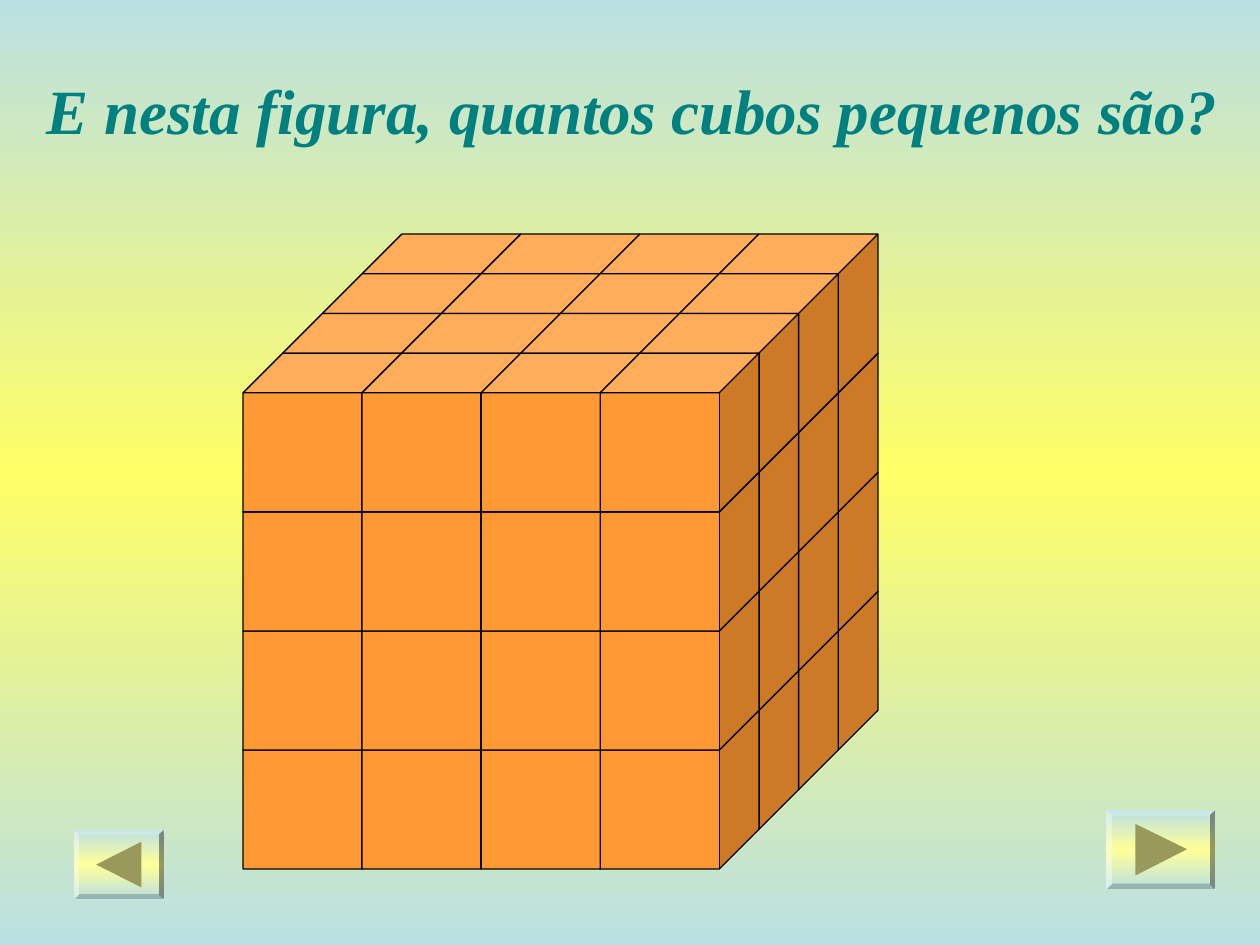
import copy
import pptx
import pptx.dml.color
import pptx.enum.shapes
import pptx.enum.text
import pptx.util

Cm = pptx.util.Cm
Pt = pptx.util.Pt
Kind = pptx.enum.shapes.MSO_SHAPE

TITLE = "E nesta figura, quantos cubos pequenos são?"
SIZE, STEP, DEPTH, COUNT = 3.2, 2.4, 0.8, 4
LEFT, TOP = 7.3, 4.72
BUTTONS = [
    {"box": (22.3, 16.33, 2.2, 1.6), "tip": [(22.89, 16.61), (23.93, 17.12), (22.89, 17.65)]},
    {"box": (1.5, 16.73, 1.8, 1.4), "tip": [(2.85, 16.97), (1.94, 17.43), (2.85, 17.89)]},
]


def hue(code):
    return pptx.dml.color.RGBColor.from_string(code)


def blend(node, fill, mid):
    fill.gradient()
    fill.gradient_angle = 90
    stops = node.xpath(".//a:gsLst")[0]
    stops.insert(1, copy.deepcopy(stops[0]))
    for stop, place, code in zip(fill.gradient_stops, (0, 0.5, 1), ("BBE0E3", mid, "BBE0E3")):
        stop.position = place
        stop.color.rgb = hue(code)


def paint(shape, code, edge=None):
    shape.shadow.inherit = False
    shape.fill.solid()
    shape.fill.fore_color.rgb = hue(code)
    if edge:
        shape.line.color.rgb = hue(edge)
        shape.line.width = Pt(0.75)
    else:
        shape.line.fill.background()


def stack(slide):
    group = slide.shapes.add_group_shape()
    last = COUNT - 1
    for level in reversed(range(COUNT)):
        for row in range(COUNT):
            for col in range(COUNT):
                if level > 0 and row < last and col < last:
                    continue
                x = LEFT + STEP * col - DEPTH * row
                y = TOP + STEP * level + DEPTH * row
                cube = group.shapes.add_shape(Kind.CUBE, Cm(x), Cm(y), Cm(SIZE), Cm(SIZE))
                cube.adjustments[0] = 0.25
                paint(cube, "FF9933", "000000")


def head(slide):
    title = slide.shapes.title
    title.left, title.top, title.width, title.height = map(Cm, (0.69, 1.32, 24.71, 1.78))
    frame = title.text_frame
    frame.word_wrap = True
    frame.auto_size = pptx.enum.text.MSO_AUTO_SIZE.NONE
    frame.vertical_anchor = pptx.enum.text.MSO_ANCHOR.BOTTOM
    para = frame.paragraphs[0]
    para.alignment = pptx.enum.text.PP_ALIGN.LEFT
    para.space_before = Pt(0)
    para.line_spacing = 1.0
    run = para.add_run()
    run.text = TITLE
    font = run.font
    font.name, font.size, font.bold, font.italic = "Times New Roman", Pt(36), True, True
    font.color.rgb = hue("008080")


def button(slide, box, tip):
    frame = slide.shapes.add_shape(Kind.BEVEL, *map(Cm, box))
    frame.adjustments[0] = 0.07
    frame.shadow.inherit = False
    frame.line.fill.background()
    blend(frame.element, frame.fill, "FFFF99")
    points = [(Cm(x), Cm(y)) for x, y in tip]
    path = slide.shapes.build_freeform(*points[0])
    path.add_line_segments(points[1:], close=True)
    paint(path.convert_to_shape(), "99995C")


def main():
    deck = pptx.Presentation()
    deck.slide_width, deck.slide_height = Cm(25.4), Cm(19.05)
    slide = deck.slides.add_slide(deck.slide_layouts[5])
    blend(slide.element, slide.background.fill, "FFFF66")
    stack(slide)
    head(slide)
    for item in BUTTONS:
        button(slide, **item)
    deck.save("out.pptx")


if __name__ == "__main__":
    main()
